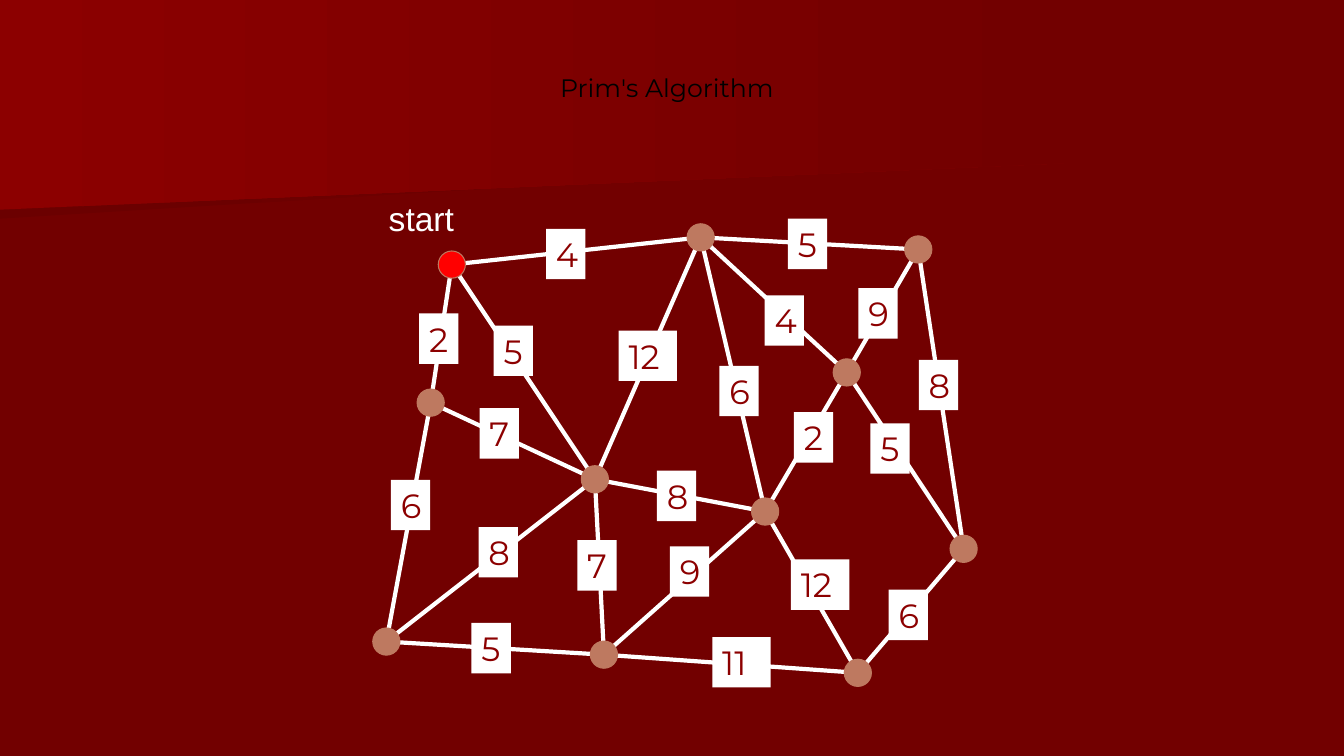
from collections import namedtuple

from lxml import etree
from pptx import Presentation
from pptx import util as u
from pptx.dml.color import RGBColor
from pptx.enum import shapes, text
from pptx.oxml.ns import qn

PX = 9144  # EMU in one px, 100 px to the inch
Box = namedtuple("Box", "left top width height")

DARK, SHADE, GLOW = "720000", "6B0000", "8C0000"
WHITE, BLACK, BROWN, RED = "FFFFFF", "000000", "BE7960", "FF0000"
NODE_SIZE = 27
LABEL_HEIGHT = 50
LABEL_WIDTHS = {1: 39, 2: 58}  # by number of digits

NODES = {
    "west": (44, 196), "start": (65, 59), "southeast": (468, 464),
    "east": (573, 341), "northeast": (528, 44), "hub": (207, 272),
    "south": (216, 446), "middle": (457, 166), "center": (376, 304),
    "southwest": (0, 433), "top": (312, 32),
}
# from, to, weight, left and top of the weight label
EDGES = [
    ("start", "west", "2", 46, 121),
    ("west", "hub", "7", 106, 215),
    ("start", "hub", "5", 120, 133),
    ("northeast", "east", "8", 542, 167),
    ("top", "northeast", "5", 412, 27),
    ("start", "top", "4", 172, 37),
    ("northeast", "middle", "9", 482, 96),
    ("top", "middle", "4", 389, 103),
    ("top", "center", "6", 344, 173),
    ("middle", "east", "5", 494, 230),
    ("east", "southeast", "6", 512, 395),
    ("center", "southeast", "12", 415, 365),
    ("southwest", "south", "5", 98, 428),
    ("south", "southeast", "11", 337, 442),
    ("middle", "center", "2", 418, 219),
    ("west", "southwest", "6", 18, 286),
    ("southwest", "hub", "8", 105, 333),
    ("south", "center", "9", 295, 352),
    ("hub", "south", "7", 203, 346),
    ("top", "hub", "12", 244, 138),
    ("hub", "center", "8", 282, 277),
]


def color(value):
    return RGBColor.from_string(value)


def emu(*lengths):
    return [round(length * PX) for length in lengths]


def write(shape, words, size, font, tint, align=text.PP_ALIGN.LEFT, wrap=False):
    frame = shape.text_frame
    frame.word_wrap = wrap
    frame.vertical_anchor = text.MSO_ANCHOR.TOP
    para = frame.paragraphs[0]
    para.alignment = align
    span = para.add_run()
    span.text = words
    span.font.size = u.Pt(size)
    span.font.name = font
    span.font.color.rgb = color(tint)


def add_solid(page, kind, box, fill, line=None):
    shape = page.shapes.add_shape(kind, *emu(*box))
    shape.shadow.inherit = False
    shape.fill.solid()
    shape.fill.fore_color.rgb = color(fill)
    if line:
        shape.line.color.rgb = color(line)
        shape.line.width = u.Pt(0.75)
    else:
        shape.line.fill.background()
    return shape


def add_edge(page, start, end):
    edge = page.shapes.add_connector(shapes.MSO_CONNECTOR.STRAIGHT, *emu(*start, *end))
    edge.line.color.rgb = color(WHITE)
    edge.line.width = u.Pt(3)
    etree.SubElement(edge._element.spPr, qn("a:effectLst"))


def add_band(page, box, points, tint):
    """Draw a polygon that fades from tint, at its left, into the background."""
    corners = [(box.left + x, box.top + y) for x, y in points]
    builder = page.shapes.build_freeform(*corners[0], scale=PX)
    builder.add_line_segments(corners[1:], close=True)
    band = builder.convert_to_shape()
    band.shadow.inherit = False
    band.line.fill.background()
    band.fill.gradient()
    band.fill.gradient_angle = 0
    for stop, shade in zip(band.fill.gradient_stops, (tint, DARK)):
        stop.color.rgb = color(shade)


def add_backdrop(page, box):
    page.background.fill.solid()
    page.background.fill.fore_color.rgb = color(DARK)
    add_band(page, box, [(1037, 153), (0, 217), (0, 101), (1039, 101), (1037, 128)], SHADE)
    add_band(page, box, [(1056, 162), (0, 208), (0, 0), (1056, 0)], GLOW)


def add_graph(page, box):
    half = NODE_SIZE / 2
    centers = {name: (box.left + x + half, box.top + y + half)
               for name, (x, y) in NODES.items()}
    for first, second, *_ in EDGES:
        add_edge(page, centers[first], centers[second])
    for name, (x, y) in NODES.items():
        spot = Box(box.left + x, box.top + y, NODE_SIZE, NODE_SIZE)
        add_solid(page, shapes.MSO_SHAPE.OVAL, spot,
                  RED if name == "start" else BROWN, BROWN)
    for _, _, weight, x, y in EDGES:
        spot = Box(box.left + x, box.top + y, LABEL_WIDTHS[len(weight)], LABEL_HEIGHT)
        label = add_solid(page, shapes.MSO_SHAPE.RECTANGLE, spot, WHITE)
        write(label, weight, 24, "Montserrat", GLOW, wrap=True)
    caption = page.shapes.add_textbox(*emu(box.left + 6, box.top + 1, 85, LABEL_HEIGHT))
    write(caption, "start", 24, "Arial", WHITE)


def add_title(page, box):
    title = page.shapes.add_textbox(*emu(*box))
    write(title, "Prim's Algorithm", 18, "Montserrat", BLACK, text.PP_ALIGN.CENTER)


def main():
    deck = Presentation()
    deck.slide_width, deck.slide_height = emu(1334, 750)
    page = deck.slides.add_slide(deck.slide_layouts[6])
    add_backdrop(page, Box(0, 0, 1334, 750))
    add_graph(page, Box(370, 190, 600, 492))
    add_title(page, Box(508, 67, 308, 58))
    deck.save("out.pptx")


if __name__ == "__main__":
    main()
